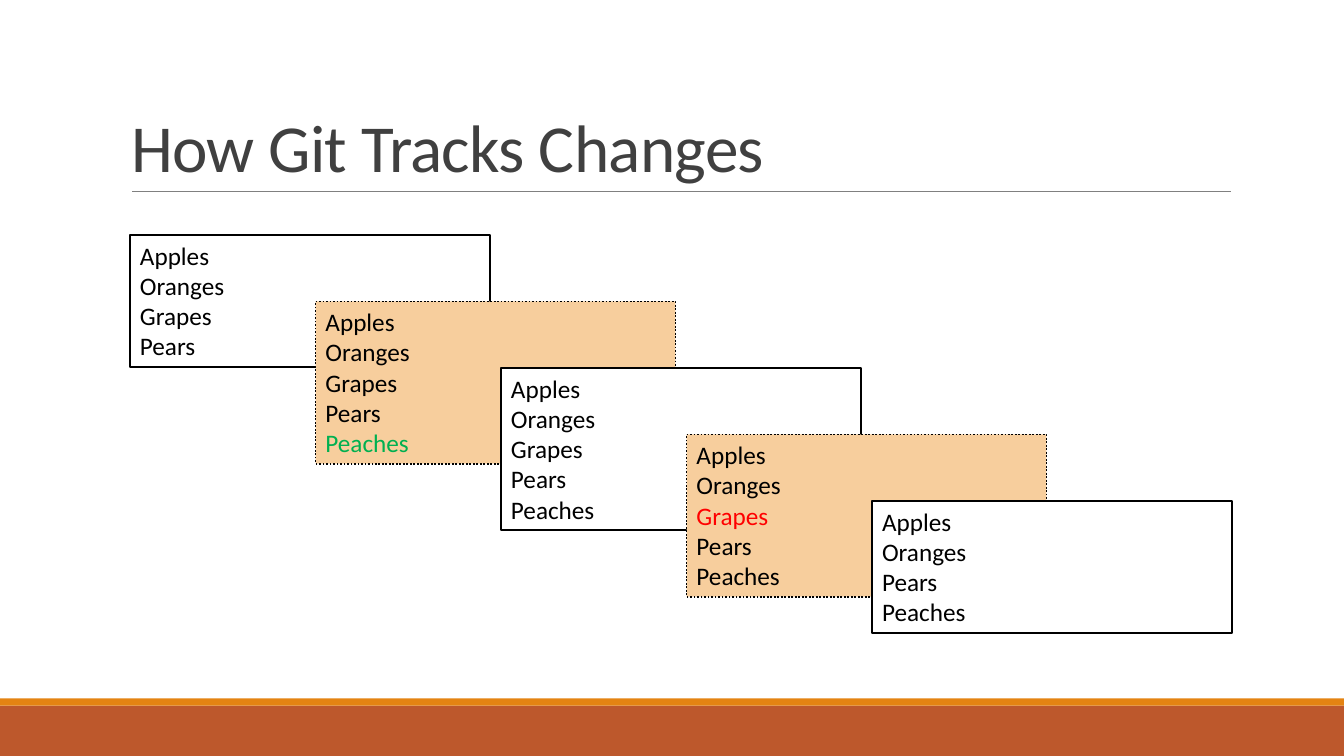
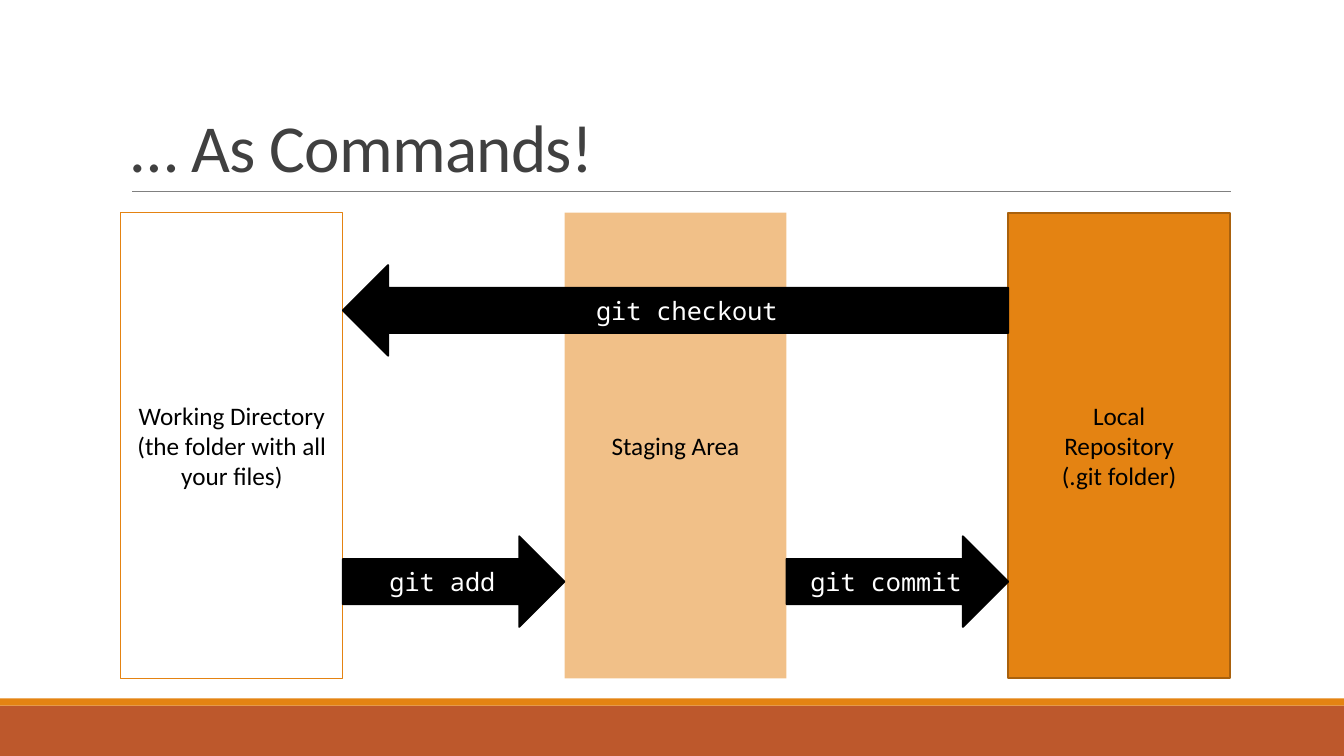
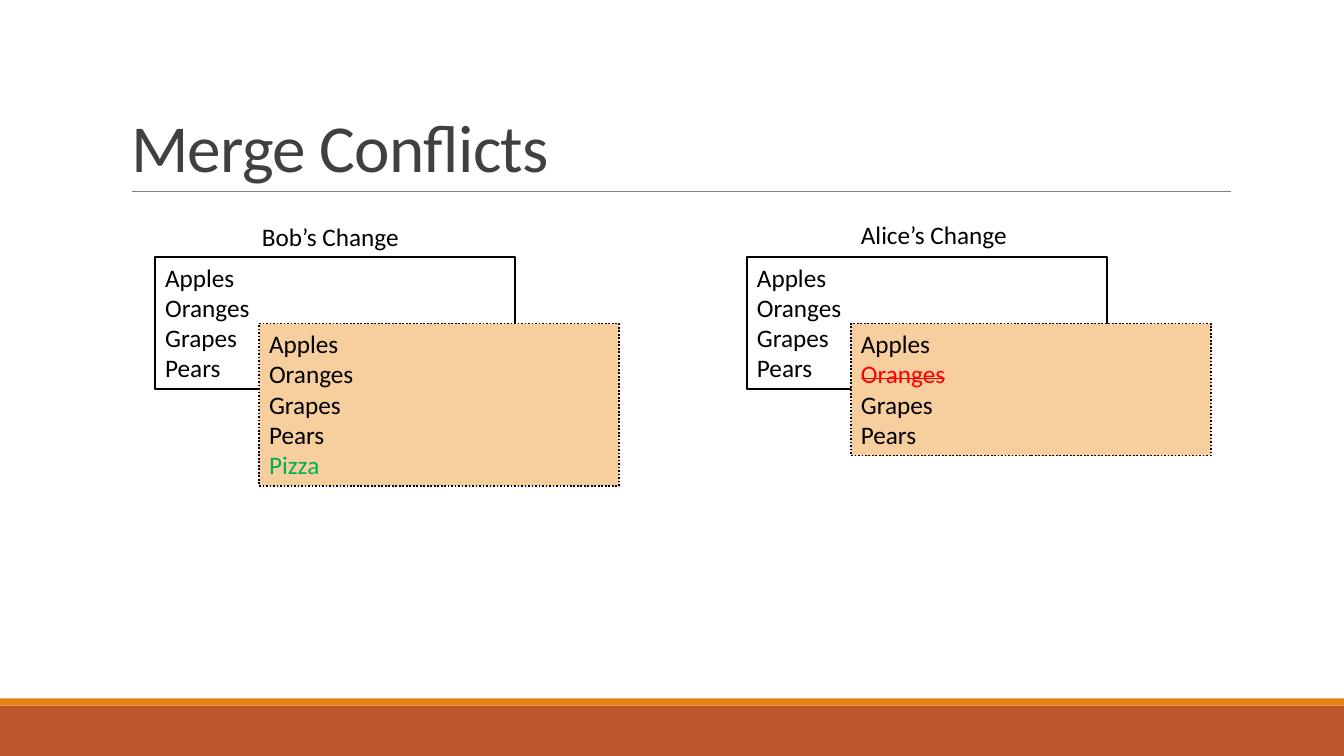
"""Build three slides that explain how Git tracks, stages and merges changes."""
import dataclasses
import typing

import lxml.etree
import pptx
import pptx.dml.color
import pptx.enum.dml
import pptx.enum.shapes
import pptx.enum.text
import pptx.oxml.ns
import pptx.util

COLORS = {
    "paper": "FFFFFF",
    "ink": "000000",
    "title": "404040",
    "rule": "808080",
    "orange": "E48312",
    "dark_orange": "A9610D",
    "rust": "BD582C",
    "staged": "F7CE9D",
    "added": "00B050",
    "removed": "FF0000",
}
SLIDE_WIDTH, SLIDE_HEIGHT = 13.33, 7.5
TITLE_BOX = (1.2, 0.31, 11, 1.59)
BODY_FONT, CODE_FONT = "Calibri", "Noto Sans Mono"
VERSION_WIDTH, LINE_HEIGHT, VERSION_PADDING = 3.57, 0.3, 0.11
VERSION_DROP = 0.66
COLUMN_LEFT, COLUMN_WIDTH = 1.2, 2.2
COLUMN_TOP, COLUMN_HEIGHT = 2.11, 4.62

Box = tuple[float, float, float, float]
Shapes = pptx.enum.shapes.MSO_SHAPE
Align = pptx.enum.text.PP_ALIGN
Anchor = pptx.enum.text.MSO_ANCHOR


@dataclasses.dataclass(frozen=True)
class Version:
    """A list of items at one moment, with at most one changed item."""
    items: str
    staged: bool = False
    changed: str = ""
    color: str = "ink"
    strike: bool = False


@dataclasses.dataclass(frozen=True)
class Stage:
    """A column of the workflow grid that holds files."""
    column: int
    lines: tuple[str, ...]
    fill: str | None = None
    line: str | None = None
    line_width: float = 1.25
    opacity: int = 100


@dataclasses.dataclass(frozen=True)
class Command:
    """An arrow across columns of the workflow grid."""
    text: str
    column: int
    span: int
    top: float
    shape_type: pptx.enum.shapes.MSO_SHAPE


@dataclasses.dataclass(frozen=True)
class Change:
    """One person's labelled pair of versions."""
    label: str
    label_left: float
    label_top: float
    left: float
    result: Version


VERSIONS = (
    Version("Apples Oranges Grapes Pears"),
    Version("Apples Oranges Grapes Pears Peaches", True, "Peaches", "added"),
    Version("Apples Oranges Grapes Pears Peaches"),
    Version("Apples Oranges Grapes Pears Peaches", True, "Grapes", "removed"),
    Version("Apples Oranges Pears Peaches"),
)
STAGES = (
    Stage(0, ("Working Directory", "(the folder with all your files)"),
          line="orange", line_width=0.75),
    Stage(2, ("Staging Area",), fill="orange", opacity=50),
    Stage(4, ("Local", "Repository", "(.git folder)"), fill="orange", line="dark_orange"),
)
COMMANDS = (
    Command("git checkout", 1, 3, 2.63, Shapes.LEFT_ARROW),
    Command("git add", 1, 1, 5.32, Shapes.RIGHT_ARROW),
    Command("git commit", 3, 1, 5.32, Shapes.RIGHT_ARROW),
)
CHANGES = (
    Change("Bob’s Change", 2.5, 2.15, 1.54,
           Version("Apples Oranges Grapes Pears Pizza", True, "Pizza", "added")),
    Change("Alice’s Change", 8.44, 2.13, 7.41,
           Version("Apples Oranges Grapes Pears", True, "Oranges", "removed", True)),
)


def inches(box: Box) -> list[pptx.util.Emu]:
    """Convert a box to slide lengths."""
    return [pptx.util.Inches(length) for length in box]


def rgb(name: str) -> pptx.dml.color.RGBColor:
    """Look up a named colour."""
    return pptx.dml.color.RGBColor.from_string(COLORS[name])


def write_text(shape: typing.Any, lines: typing.Sequence[str], *, size: float = 18,
               font: str = BODY_FONT, color: str = "ink", align: Align = Align.LEFT,
               anchor: Anchor = Anchor.TOP, grow: bool = False, spacing: float = 1,
               tracking: int = 0, changed: str = "", changed_color: str = "ink",
               strike: bool = False) -> None:
    """Fill a shape with one paragraph per line."""
    frame = shape.text_frame
    frame.text = "\n".join(lines)
    frame.word_wrap = True
    frame.vertical_anchor = anchor
    sizes = pptx.enum.text.MSO_AUTO_SIZE
    frame.auto_size = sizes.SHAPE_TO_FIT_TEXT if grow else sizes.NONE
    for paragraph in frame.paragraphs:
        paragraph.alignment = align
        paragraph.line_spacing = spacing
        run = paragraph.runs[0]
        is_changed = run.text == changed
        run.font.size = pptx.util.Pt(size)
        run.font.name = font
        run.font.color.rgb = rgb(changed_color if is_changed else color)
        properties = run.font._element
        if tracking:
            properties.set("spc", str(tracking))
        if is_changed and strike:
            properties.set("strike", "sngStrike")


def add_box(slide: typing.Any, box: Box, *, shape_type: Shapes = Shapes.RECTANGLE,
            fill: str | None = None, line: str | None = None, line_width: float = 1.25,
            dotted: bool = False, opacity: int = 100) -> typing.Any:
    """Add a preset shape without a shadow."""
    shape = slide.shapes.add_shape(shape_type, *inches(box))
    shape.shadow.inherit = False
    if fill:
        shape.fill.solid()
        shape.fill.fore_color.rgb = rgb(fill)
        if opacity < 100:
            color = shape.element.spPr.find(".//" + pptx.oxml.ns.qn("a:srgbClr"))
            alpha = lxml.etree.SubElement(color, pptx.oxml.ns.qn("a:alpha"))
            alpha.set("val", str(opacity * 1000))
    else:
        shape.fill.background()
    if line:
        shape.line.color.rgb = rgb(line)
        shape.line.width = pptx.util.Pt(line_width)
        if dotted:
            shape.line.dash_style = pptx.enum.dml.MSO_LINE.ROUND_DOT
    else:
        shape.line.fill.background()
    return shape


def decorate_layout(layout: typing.Any, slide: typing.Any) -> None:
    """Move the bands and the title rule from a slide to its layout."""
    rust_band = add_box(slide, (0, 7, SLIDE_WIDTH, 0.5), fill="rust")
    orange_band = add_box(slide, (0, 6.93, SLIDE_WIDTH, 0.07), fill="orange")
    rule = slide.shapes.add_connector(pptx.enum.shapes.MSO_CONNECTOR.STRAIGHT,
                                      *inches((1.31, 1.9, 12.21, 1.9)))
    rule.line.color.rgb = rgb("rule")
    rule.line.width = pptx.util.Pt(0.5)
    lxml.etree.SubElement(rule.element.spPr, pptx.oxml.ns.qn("a:effectLst"))
    for shape in (rust_band, orange_band, rule):
        layout.shapes.element.append(shape.element)
    title = layout.placeholders[0]
    title.left, title.top, title.width, title.height = inches(TITLE_BOX)


def add_slide(presentation: typing.Any, layout: typing.Any, title: str) -> typing.Any:
    """Add a slide with a formatted title."""
    slide = presentation.slides.add_slide(layout)
    write_text(slide.shapes.title, [title], size=48, color="title",
               anchor=Anchor.BOTTOM, spacing=0.85, tracking=-50)
    return slide


def add_version(slide: typing.Any, version: Version, left: float, top: float) -> None:
    """Draw one version of the list."""
    items = version.items.split()
    height = VERSION_PADDING + LINE_HEIGHT * len(items)
    shape = add_box(slide, (left, top, VERSION_WIDTH, height), line="ink",
                    fill="staged" if version.staged else "paper", dotted=version.staged)
    write_text(shape, items, grow=True, changed=version.changed,
               changed_color=version.color, strike=version.strike)


def add_history(slide: typing.Any) -> None:
    """Draw the cascade of versions."""
    for step, version in enumerate(VERSIONS):
        add_version(slide, version, 1.29 + 1.84 * step, 2.33 + VERSION_DROP * step)


def add_workflow(slide: typing.Any) -> None:
    """Draw the three stages and the commands between them."""
    for stage in STAGES:
        left = COLUMN_LEFT + COLUMN_WIDTH * stage.column
        shape = add_box(slide, (left, COLUMN_TOP, COLUMN_WIDTH, COLUMN_HEIGHT),
                        fill=stage.fill, line=stage.line,
                        line_width=stage.line_width, opacity=stage.opacity)
        write_text(shape, stage.lines, align=Align.CENTER, anchor=Anchor.MIDDLE)
    for command in COMMANDS:
        left = COLUMN_LEFT + COLUMN_WIDTH * command.column
        arrow = add_box(slide, (left, command.top, COLUMN_WIDTH * command.span, 0.9),
                        shape_type=command.shape_type, fill="ink", line="ink")
        write_text(arrow, [command.text], font=CODE_FONT, color="paper",
                   align=Align.CENTER, anchor=Anchor.MIDDLE)


def add_conflict(slide: typing.Any) -> None:
    """Draw the two competing changes."""
    top = 2.55
    for change in CHANGES:
        add_version(slide, VERSIONS[0], change.left, top)
        add_version(slide, change.result, change.left + 1.03, top + VERSION_DROP)
        label = slide.shapes.add_textbox(
            *inches((change.label_left, change.label_top, 3.12, 0.4)))
        write_text(label, [change.label], grow=True)


def main() -> None:
    """Build and save the presentation."""
    presentation = pptx.Presentation()
    presentation.slide_width = pptx.util.Inches(SLIDE_WIDTH)
    presentation.slide_height = pptx.util.Inches(SLIDE_HEIGHT)
    layout = presentation.slide_layouts.get_by_name("Title Only")
    history = add_slide(presentation, layout, "How Git Tracks Changes")
    decorate_layout(layout, history)
    add_history(history)
    add_workflow(add_slide(presentation, layout, "… As Commands!"))
    add_conflict(add_slide(presentation, layout, "Merge Conflicts"))
    presentation.save("out.pptx")


if __name__ == "__main__":
    main()
